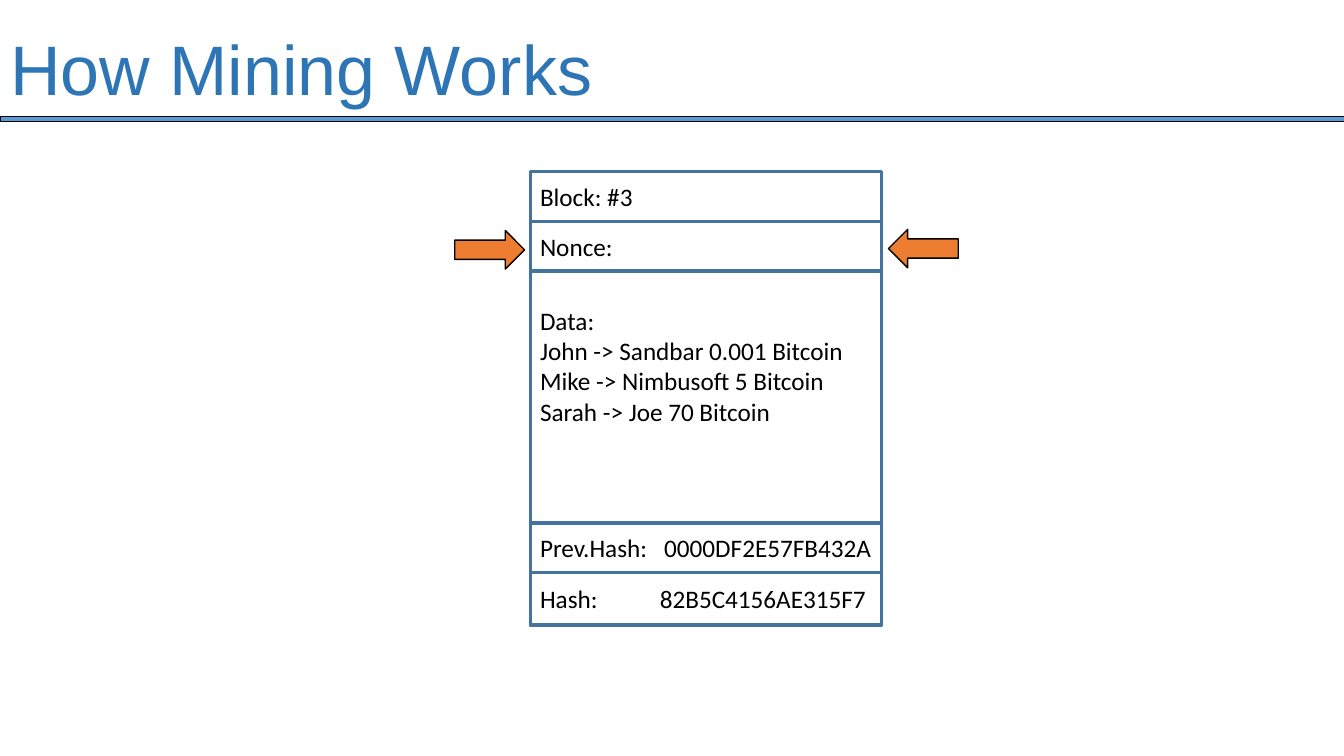
from dataclasses import dataclass

from lxml.etree import SubElement
from pptx import Presentation
from pptx.dml.color import RGBColor
from pptx.enum.shapes import MSO_SHAPE
from pptx.enum.text import MSO_ANCHOR, PP_ALIGN
from pptx.oxml.ns import qn
from pptx.util import Cm, Pt


@dataclass(frozen=True)
class Theme:
    title_color: RGBColor = RGBColor(0x2E, 0x75, 0xB6)
    rule_color: RGBColor = RGBColor(0x5B, 0x9B, 0xD5)
    block_border: RGBColor = RGBColor(0x43, 0x73, 0x9E)
    arrow_color: RGBColor = RGBColor(0xED, 0x7D, 0x31)
    ink: RGBColor = RGBColor(0, 0, 0)
    title_font: str = "Arial"
    body_font: str = "Calibri"
    title_size: Pt = Pt(50)
    body_size: Pt = Pt(18)


THEME = Theme()
SLIDE_WIDTH = 33.87
BLOCK_LEFT, BLOCK_TOP, BLOCK_WIDTH = 13.36, 4.32, 8.86

# Each row: height, space above the text (None centres it), value tab, lines
BLOCK_ROWS = [
    (1.27, None, None, ["Block: #3"]),
    (1.24, None, None, ["Nonce:"]),
    (6.35, 0.86, None, [
        "Data:",
        "John -> Sandbar 0.001 Bitcoin",
        "Mike -> Nimbusoft 5 Bitcoin",
        "Sarah -> Joe 70 Bitcoin",
    ]),
    (1.25, None, 3.13, ["Prev.Hash:\t0000DF2E57FB432A"]),
    (1.32, None, 3.02, ["Hash:\t82B5C4156AE315F7"]),
]


def style_font(font, name, size, color):
    font.name = name
    font.size = size
    font.color.rgb = color


def add_title(slide, text):
    title = slide.shapes.title
    title.left, title.top, title.width, title.height = Cm(0), Cm(0), Cm(29.21), Cm(3.68)
    title.text_frame.text = text
    title.text_frame.vertical_anchor = MSO_ANCHOR.MIDDLE
    heading = title.text_frame.paragraphs[0]
    heading.alignment = PP_ALIGN.LEFT
    heading.line_spacing = 0.9
    style_font(heading.font, THEME.title_font, THEME.title_size, THEME.title_color)


def add_outlined(slide, preset, left, top, width, height, fill, border, weight):
    """Add a preset shape, measured in centimetres; no fill colour leaves it hollow."""
    shape = slide.shapes.add_shape(preset, Cm(left), Cm(top), Cm(width), Cm(height))
    shape.shadow.inherit = False
    if fill is None:
        shape.fill.background()
    else:
        shape.fill.solid()
        shape.fill.fore_color.rgb = fill
    shape.line.color.rgb = border
    shape.line.width = Pt(weight)
    return shape


def add_tab_stop(paragraph, position):
    tabs = SubElement(paragraph._p.get_or_add_pPr(), qn("a:tabLst"))
    SubElement(tabs, qn("a:tab"), pos=str(Cm(position)), algn="l")


def add_block_row(slide, top, height, space_above, value_tab, lines):
    row = add_outlined(slide, MSO_SHAPE.RECTANGLE, BLOCK_LEFT, top, BLOCK_WIDTH, height,
                       None, THEME.block_border, 2.25)
    frame = row.text_frame
    frame.word_wrap = True
    frame.margin_right = Cm(0)
    if space_above is None:
        frame.vertical_anchor = MSO_ANCHOR.MIDDLE
    else:
        frame.vertical_anchor = MSO_ANCHOR.TOP
        frame.margin_top = Cm(space_above)
    frame.text = "\n".join(lines)
    for paragraph in frame.paragraphs:
        paragraph.alignment = PP_ALIGN.LEFT
        if value_tab is not None:
            add_tab_stop(paragraph, value_tab)
        style_font(paragraph.font, THEME.body_font, THEME.body_size, THEME.ink)


def add_block(slide):
    top = BLOCK_TOP
    for height, space_above, value_tab, lines in BLOCK_ROWS:
        add_block_row(slide, top, height, space_above, value_tab, lines)
        top += height


def add_nonce_arrows(slide):
    for preset, left, top in [(MSO_SHAPE.RIGHT_ARROW, 11.46, 5.81),
                              (MSO_SHAPE.LEFT_ARROW, 22.39, 5.78)]:
        add_outlined(slide, preset, left, top, 1.76, 0.97,
                     THEME.arrow_color, THEME.ink, 1)


def main():
    deck = Presentation()
    deck.slide_width, deck.slide_height = Cm(SLIDE_WIDTH), Cm(19.05)
    slide = deck.slides.add_slide(deck.slide_layouts.get_by_name("Title Only"))
    add_title(slide, "How Mining Works")
    add_outlined(slide, MSO_SHAPE.RECTANGLE, 0, 2.93, SLIDE_WIDTH, 0.13,
                 THEME.rule_color, THEME.ink, 0.25)
    add_block(slide)
    add_nonce_arrows(slide)
    deck.save("out.pptx")


if __name__ == "__main__":
    main()
